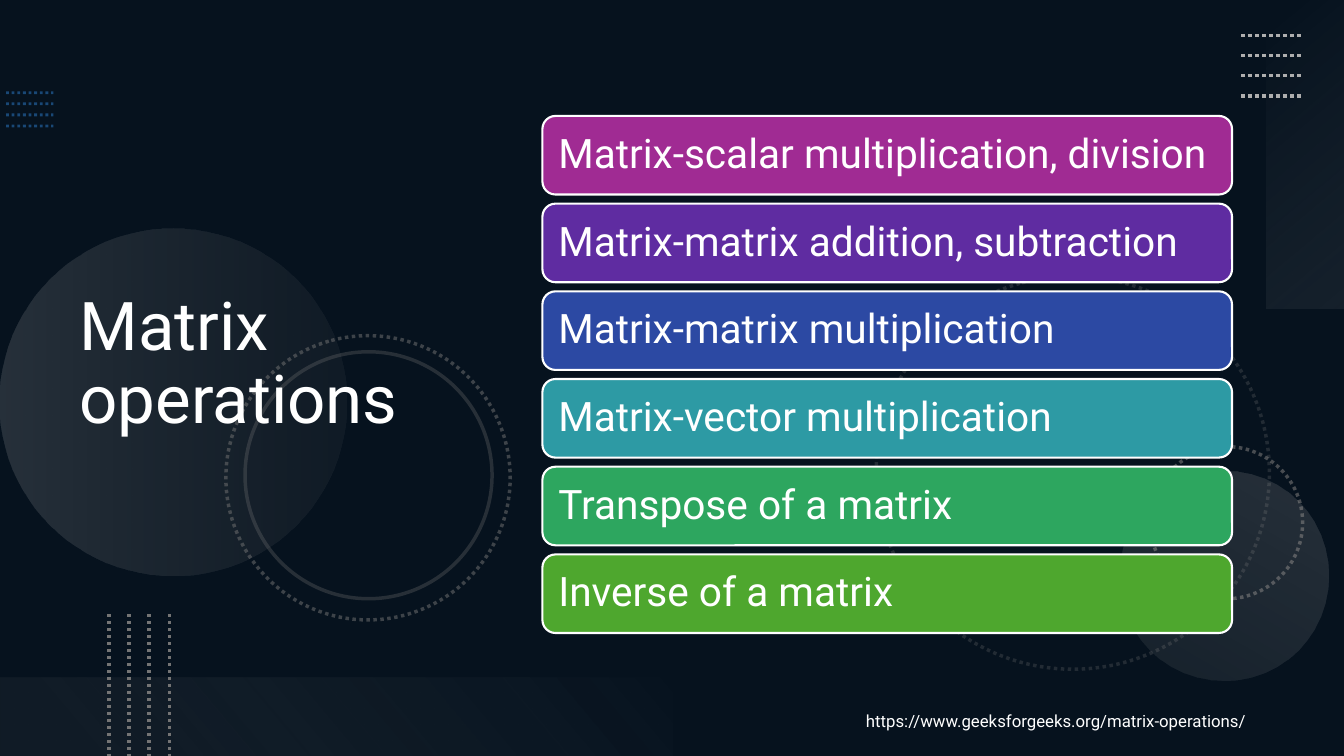
from lxml import etree
from pptx import Presentation
from pptx.dml.color import RGBColor
from pptx.enum import dml, shapes, text
from pptx.oxml import parse_xml
from pptx.oxml.ns import nsdecls, qn
from pptx.util import Inches, Pt

NAVY = RGBColor(0x0E, 0x28, 0x41)
BLACK = RGBColor(0, 0, 0)
WHITE = RGBColor(0xFF, 0xFF, 0xFF)
NEAR_WHITE = RGBColor(0xF6, 0xF6, 0xF6)
SILVER = RGBColor(0xAE, 0xAE, 0xAE)
GRAY = RGBColor(0x74, 0x74, 0x74)
BLUE = RGBColor(0x2D, 0x7F, 0xCF)
FONT = "Roboto"

OPERATIONS = [
    ("Matrix-scalar multiplication, division", RGBColor(0xA0, 0x2B, 0x93)),
    ("Matrix-matrix addition, subtraction", RGBColor(0x5F, 0x2C, 0xA1)),
    ("Matrix-matrix multiplication", RGBColor(0x2C, 0x49, 0xA3)),
    ("Matrix-vector multiplication", RGBColor(0x2D, 0x9A, 0xA4)),
    ("Transpose of a matrix", RGBColor(0x2D, 0xA6, 0x5F)),
    ("Inverse of a matrix", RGBColor(0x4E, 0xA7, 0x2E)),
]


def set_opacity(color_parent, percent):
    """Make the solid colour found under an element partly transparent."""
    color = color_parent.find(".//" + qn("a:srgbClr"))
    etree.SubElement(color, qn("a:alpha")).set("val", str(percent * 1000))


def add_plain_shape(slide, kind, left, top, width, height, rotation=0):
    shape = slide.shapes.add_shape(
        kind, Inches(left), Inches(top), Inches(width), Inches(height))
    shape.shadow.inherit = False
    shape.rotation = rotation
    shape.line.fill.background()
    return shape


def add_gradient_shape(slide, kind, box, rotation, angle, stops):
    """Add a borderless shape; each stop is (position, colour, opacity)."""
    shape = add_plain_shape(slide, kind, *box, rotation)
    stop_xml = "".join(
        f'<a:gs pos="{position * 1000}"><a:srgbClr val="{color}">'
        f'<a:alpha val="{opacity * 1000}"/></a:srgbClr></a:gs>'
        for position, color, opacity in stops)
    gradient = parse_xml(
        f'<a:gradFill {nsdecls("a")} rotWithShape="1"><a:gsLst>{stop_xml}</a:gsLst>'
        f'<a:lin ang="{angle * 60000}" scaled="0"/></a:gradFill>')
    properties = shape._element.spPr
    properties.find(qn("a:prstGeom")).addnext(gradient)


def style_line(line, color, width, opacity, dotted=True):
    line.color.rgb = color
    line.width = Pt(width)
    if dotted:
        line.dash_style = dml.MSO_LINE.ROUND_DOT
    set_opacity(line._ln, opacity)


def add_ring(slide, left, top, size, rotation, opacity, dotted=True):
    ring = add_plain_shape(slide, shapes.MSO_SHAPE.OVAL, left, top, size, size, rotation)
    ring.fill.background()
    style_line(ring.line, GRAY, 2.5, opacity, dotted)


def add_dotted_lines(slide, left, top, length, gap, color, width=2.5,
                     opacity=100, vertical=False):
    """Add four parallel dotted lines, spaced evenly."""
    for index in range(4):
        if vertical:
            x, y = left + index * gap, top
            end_x, end_y = x, y + length
        else:
            x, y = left, top + index * gap
            end_x, end_y = x + length, y
        connector = slide.shapes.add_connector(
            shapes.MSO_CONNECTOR.STRAIGHT,
            Inches(x), Inches(y), Inches(end_x), Inches(end_y))
        style_line(connector.line, color, width, opacity)
        etree.SubElement(connector._element.spPr, qn("a:effectLst"))


def write_text(text_frame, content, size, line_spacing=1.0):
    text_frame.text = content
    text_frame.word_wrap = True
    paragraph = text_frame.paragraphs[0]
    paragraph.alignment = text.PP_ALIGN.LEFT
    paragraph.line_spacing = line_spacing
    font = paragraph.runs[0].font
    font.name = FONT
    font.size = Pt(size)
    font.color.rgb = WHITE


def add_backdrop(slide):
    oval, rectangle = shapes.MSO_SHAPE.OVAL, shapes.MSO_SHAPE.RECTANGLE
    slide.background.fill.solid()
    slide.background.fill.fore_color.rgb = NAVY
    shade = add_plain_shape(slide, rectangle, 0, 0, 13.33, 7.5)
    shade.fill.solid()
    shade.fill.fore_color.rgb = BLACK
    set_opacity(shade._element.spPr, 53)

    add_dotted_lines(slide, 0.06, 0.92, 0.47, 0.11, BLUE, width=2, opacity=50)
    add_ring(slide, 8.69, 2.74, 3.9, 75, opacity=25)
    add_ring(slide, 11.41, 4.43, 1.51, 270, opacity=60)
    add_gradient_shape(slide, oval, (0, 2.27, 3.44, 3.44), 270, 90,
                       [(0, SILVER, 20), (100, GRAY, 10)])
    add_gradient_shape(slide, oval, (11.1, 4.67, 2.08, 2.08), 210, 90,
                       [(0, SILVER, 10), (100, SILVER, 20)])
    add_ring(slide, 2.24, 3.33, 2.82, 75, opacity=50)
    add_ring(slide, 2.43, 3.49, 2.45, 75, opacity=30, dotted=False)
    add_gradient_shape(slide, rectangle, (11.42, 1.14, 3.06, 0.78), 270, 140,
                       [(0, NEAR_WHITE, 0), (100, SILVER, 10)])
    add_dotted_lines(slide, 12.31, 0.35, 0.6, 0.2, SILVER)
    add_gradient_shape(slide, rectangle, (0, 6.72, 6.67, 0.78), 180, 140,
                       [(10, GRAY, 10), (100, NEAR_WHITE, 0)])
    add_dotted_lines(slide, 1.08, 6.09, 1.41, 0.2, GRAY, vertical=True)


def place_title(slide, content):
    title = slide.shapes.title
    slide.shapes._spTree.append(title._element)  # bring in front of the backdrop
    title.left, title.top = Inches(0.69), Inches(0.54)
    title.width, title.height = Inches(4.59), Inches(6.17)
    write_text(title.text_frame, content, 48, 0.9)
    title.text_frame.vertical_anchor = text.MSO_ANCHOR.MIDDLE
    title.text_frame.auto_size = text.MSO_AUTO_SIZE.NONE


def add_operation_bars(slide):
    for index, (label, color) in enumerate(OPERATIONS):
        bar = add_plain_shape(slide, shapes.MSO_SHAPE.ROUNDED_RECTANGLE,
                              5.38, 1.15 + index * 0.87, 6.84, 0.78)
        bar.fill.solid()
        bar.fill.fore_color.rgb = color
        bar.line.color.rgb = WHITE
        bar.line.width = Pt(1.5)
        frame = bar.text_frame
        frame.margin_left = frame.margin_right = Inches(0.12)
        frame.margin_top = frame.margin_bottom = Inches(0.12)
        frame.vertical_anchor = text.MSO_ANCHOR.MIDDLE
        write_text(frame, label, 29, 0.9)


def add_source_link(slide, address):
    box = slide.shapes.add_textbox(Inches(8.49), Inches(7), Inches(4.29), Inches(0.3))
    write_text(box.text_frame, address, 12)


def main():
    presentation = Presentation()
    presentation.slide_width = Inches(13.33)
    presentation.slide_height = Inches(7.5)
    slide = presentation.slides.add_slide(presentation.slide_layouts[5])
    add_backdrop(slide)
    place_title(slide, "Matrix operations")
    add_operation_bars(slide)
    add_source_link(slide, "https://www.geeksforgeeks.org/matrix-operations/")
    presentation.save("out.pptx")


if __name__ == "__main__":
    main()
